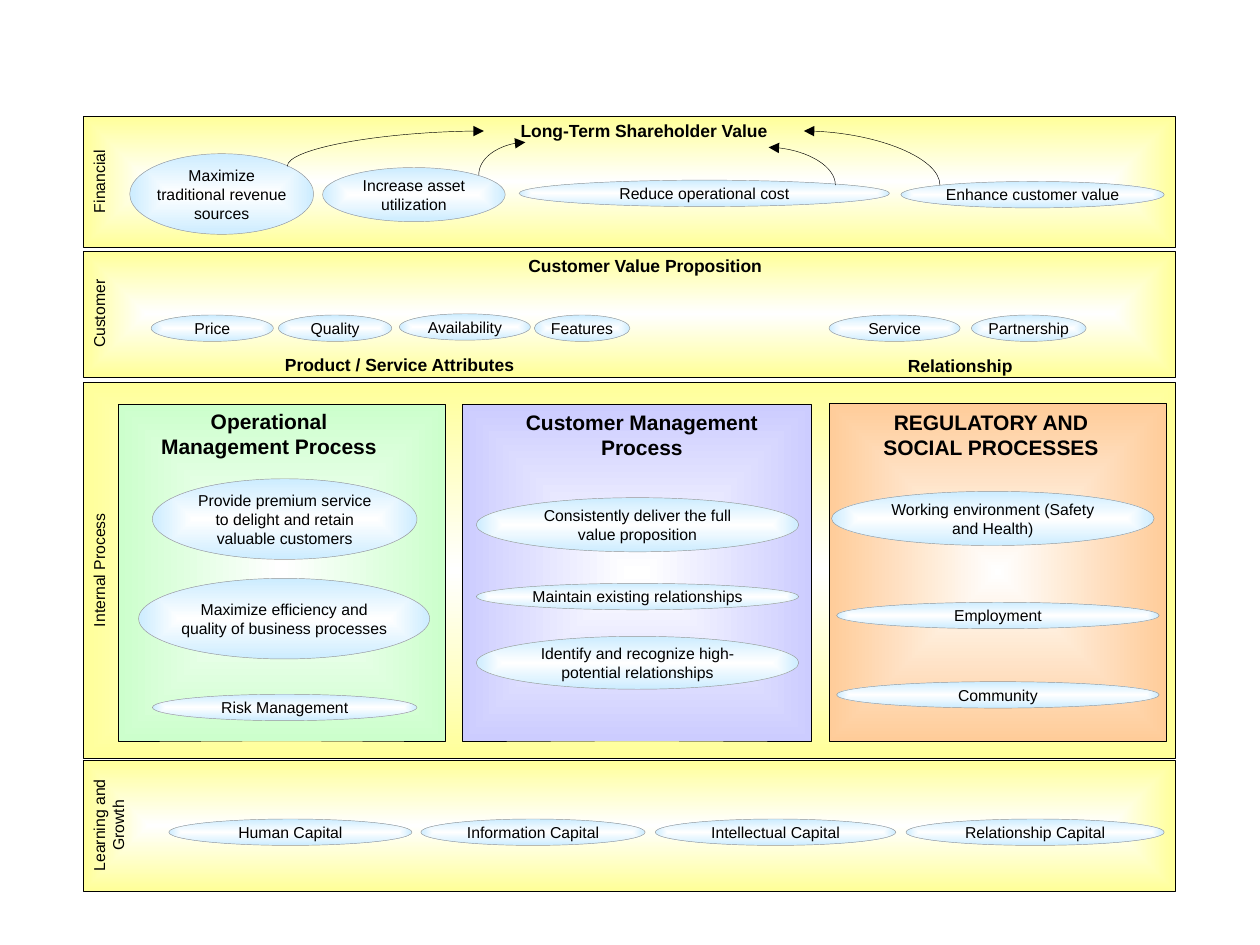
from pptx import Presentation
from pptx.dml.color import RGBColor
from pptx.enum.shapes import MSO_CONNECTOR as Conn, MSO_SHAPE as Kind
from pptx.enum.text import MSO_ANCHOR as Anchor, MSO_AUTO_SIZE as Fit, PP_ALIGN as Align
from pptx.oxml import parse_xml
from pptx.oxml.ns import nsdecls, qn
from pptx.util import Inches, Pt

BLACK = RGBColor(0x00, 0x00, 0x00)
WHITE = RGBColor(0xFF, 0xFF, 0xFF)
GRAY = RGBColor(0x96, 0x96, 0x96)
YELLOW = RGBColor(0xFF, 0xFF, 0x99)
SKY = RGBColor(0xCC, 0xEC, 0xFF)
GREEN = RGBColor(0xCC, 0xFF, 0xCC)
LILAC = RGBColor(0xCC, 0xCC, 0xFF)
PEACH = RGBColor(0xFF, 0xCC, 0x99)

FONT = "Arial"
LEFT, WIDE = 0.66, 8.67
LOW = 0.21  # height of a one-line oval
GLOW = (f'<a:path {nsdecls("a")} path="shape"><a:fillToRect l="50000" t="50000" '
        'r="50000" b="50000"/></a:path>')


def inch(*nums):
    """Turn numbers into lengths."""
    return [Inches(n) for n in nums]


def write(shape, text, size, bold=False, space=None):
    """Put one centred, wrapped run in a shape."""
    frame = shape.text_frame
    frame.word_wrap = True
    para = frame.paragraphs[0]
    para.alignment = Align.CENTER
    if space:
        para.line_spacing = space
    run = para.add_run()
    run.text = text
    run.font.name = FONT
    run.font.size = Pt(size)
    run.font.bold = bold
    run.font.color.rgb = BLACK
    return frame


def glow(slide, kind, box, color, edge):
    """Draw a shape that fades from white at its centre to a colour."""
    shape = slide.shapes.add_shape(kind, *inch(*box))
    shape.shadow.inherit = False
    shape.fill.gradient()
    for stop, tint in zip(shape.fill.gradient_stops, (WHITE, color)):
        stop.color.rgb = tint
    grad = shape.element.spPr.find(qn("a:gradFill"))
    grad.replace(grad.find(qn("a:lin")), parse_xml(GLOW))
    shape.line.color.rgb = edge
    shape.line.width = Pt(0.25)
    return shape


def band(slide, box, name):
    """Draw a yellow band with its name turned up the left side."""
    x, y, w, h = box
    turned = (x + (w - h) / 2, y + (h - w) / 2, h, w)
    shape = glow(slide, Kind.RECTANGLE, turned, YELLOW, BLACK)
    shape.rotation = 270
    write(shape, name, 9).vertical_anchor = Anchor.TOP


def title(slide, box, text, size=10, space=0.9):
    """Add a bold heading."""
    frame = write(slide.shapes.add_textbox(*inch(*box)), text, size, True, space)
    frame.auto_size = Fit.SHAPE_TO_FIT_TEXT


def ovals(slide, box, goals):
    """Place ovals, given as text and x, y, w, h within the box."""
    for text, x, y, w, h in goals:
        spot = (box[0] + x, box[1] + y, w, h)
        frame = write(glow(slide, Kind.OVAL, spot, SKY, GRAY), text, 9)
        frame.vertical_anchor = Anchor.MIDDLE
        frame.margin_left = frame.margin_right = 0
        frame.margin_top = frame.margin_bottom = 0
        frame.auto_size = Fit.SHAPE_TO_FIT_TEXT


def arrow(slide, start, tip):
    """Draw a curve that leaves upward and reaches its tip sideways."""
    (x1, y1), (x2, y2) = start, tip
    run, rise = abs(x2 - x1), abs(y2 - y1)
    x, y = (x1 + x2 - rise) / 2, (y1 + y2 - run) / 2
    line = slide.shapes.add_connector(Conn.CURVE, *inch(x, y, x + rise, y + run))
    line.line.color.rgb = BLACK
    line.line.width = Pt(0.25)
    props = line.element.spPr
    props.find(qn("a:prstGeom")).set("prst", "curvedConnector2")
    frame = props.find(qn("a:xfrm"))
    frame.set("flipV", "1")
    if x2 > x1:
        frame.set("flipH", "1")
    frame.set("rot", str((90 if x2 > x1 else 270) * 60000))
    props.find(qn("a:ln")).append(parse_xml(f'<a:tailEnd {nsdecls("a")} type="triangle"/>'))
    props.append(parse_xml(f'<a:effectLst {nsdecls("a")}/>'))


def finance(slide, box):
    """Build the financial band with arrows to its heading."""
    x, y = box[:2]
    band(slide, box, "Financial")
    title(slide, (x + 3.18, y, 2.54, 0.25), "Long-Term Shareholder Value")
    ovals(slide, box, [
        ("Maximize traditional revenue sources", 0.37, 0.3, 1.46, 0.64),
        ("Increase asset utilization", 1.9, 0.41, 1.45, 0.43),
        ("Reduce operational cost", 3.46, 0.51, 2.94, LOW),
        ("Enhance customer value", 6.49, 0.52, 2.09, LOW)])
    for x1, y1, x2, y2 in [(1.62, 0.4, 3.18, 0.12), (3.14, 0.47, 3.51, 0.21),
                           (5.97, 0.55, 5.44, 0.25), (6.8, 0.55, 5.72, 0.12)]:
        arrow(slide, (x + x1, y + y1), (x + x2, y + y2))


def client(slide, box):
    """Build the customer band with its three headings."""
    x, y = box[:2]
    band(slide, box, "Customer")
    for text, dx, dy in [("Customer Value Proposition", 2.43, 0),
                         ("Product / Service Attributes", 0.48, 0.79),
                         ("Relationship", 4.93, 0.8)]:
        title(slide, (x + dx, y + dy, 4.06, 0.25), text)
    ovals(slide, box, [(text, dx, dy, w, LOW) for text, dx, dy, w in [
        ("Price", 0.54, 0.51, 0.97), ("Quality", 1.55, 0.51, 0.9),
        ("Availability", 2.51, 0.5, 1.04), ("Features", 3.58, 0.51, 0.76),
        ("Service", 5.92, 0.51, 1.04), ("Partnership", 7.05, 0.51, 0.91)]])


def panel(slide, box, color, text, head, goals):
    """Build one process panel; head is the x, y, w of its heading."""
    dx, dy, w = head
    glow(slide, Kind.RECTANGLE, box, color, BLACK)
    title(slide, (box[0] + dx, box[1] + dy, w, 0.5), text, 12, None)
    ovals(slide, box, goals)


def process(slide, box):
    """Build the internal process band with three panels."""
    x, y = box[:2]
    band(slide, box, "Internal Process")
    panel(slide, (x + 0.28, y + 0.18, 2.59, 2.67), GREEN,
          "Operational Management Process", (0.15, -0.02, 2.09), [
              ("Provide premium service to delight and retain valuable customers",
               0.27, 0.59, 2.1, 0.64),
              ("Maximize efficiency and quality of business processes",
               0.16, 1.38, 2.31, 0.64),
              ("Risk Management", 0.27, 2.3, 2.1, LOW)])
    panel(slide, (x + 3.01, y + 0.18, 2.77, 2.67), LILAC,
          "Customer Management Process", (0.26, -0.01, 2.33), [
              ("Consistently deliver the full value proposition", 0.11, 0.74, 2.56, 0.43),
              ("Maintain existing relationships", 0.11, 1.42, 2.56, LOW),
              ("Identify and recognize high-potential relationships",
               0.11, 1.84, 2.56, 0.42)])
    panel(slide, (x + 5.92, y + 0.17, 2.68, 2.68), PEACH,
          "REGULATORY AND SOCIAL PROCESSES", (0.31, 0, 1.95), [
              ("Working environment (Safety and Health)", 0.02, 0.7, 2.56, 0.43),
              ("Employment", 0.06, 1.58, 2.56, LOW),
              ("Community", 0.06, 2.21, 2.56, LOW)])


def growth(slide, box):
    """Build the learning and growth band."""
    band(slide, box, "Learning and Growth")
    ovals(slide, box, [(f"{text} Capital", x, 0.47, w, LOW) for text, x, w in [
        ("Human", 0.68, 1.93), ("Information", 2.68, 1.78),
        ("Intellectual", 4.54, 1.91), ("Relationship", 6.53, 2.05)]])


def main():
    """Build the strategy map and save it."""
    deck = Presentation()
    deck.slide_width, deck.slide_height = inch(10, 7.5)
    slide = deck.slides.add_slide(deck.slide_layouts[6])
    for build, top, high in [(process, 3.03, 2.99), (client, 1.99, 1),
                             (finance, 0.92, 1.04), (growth, 6.03, 1.04)]:
        build(slide, (LEFT, top, WIDE, high))
    deck.save("out.pptx")


main()
